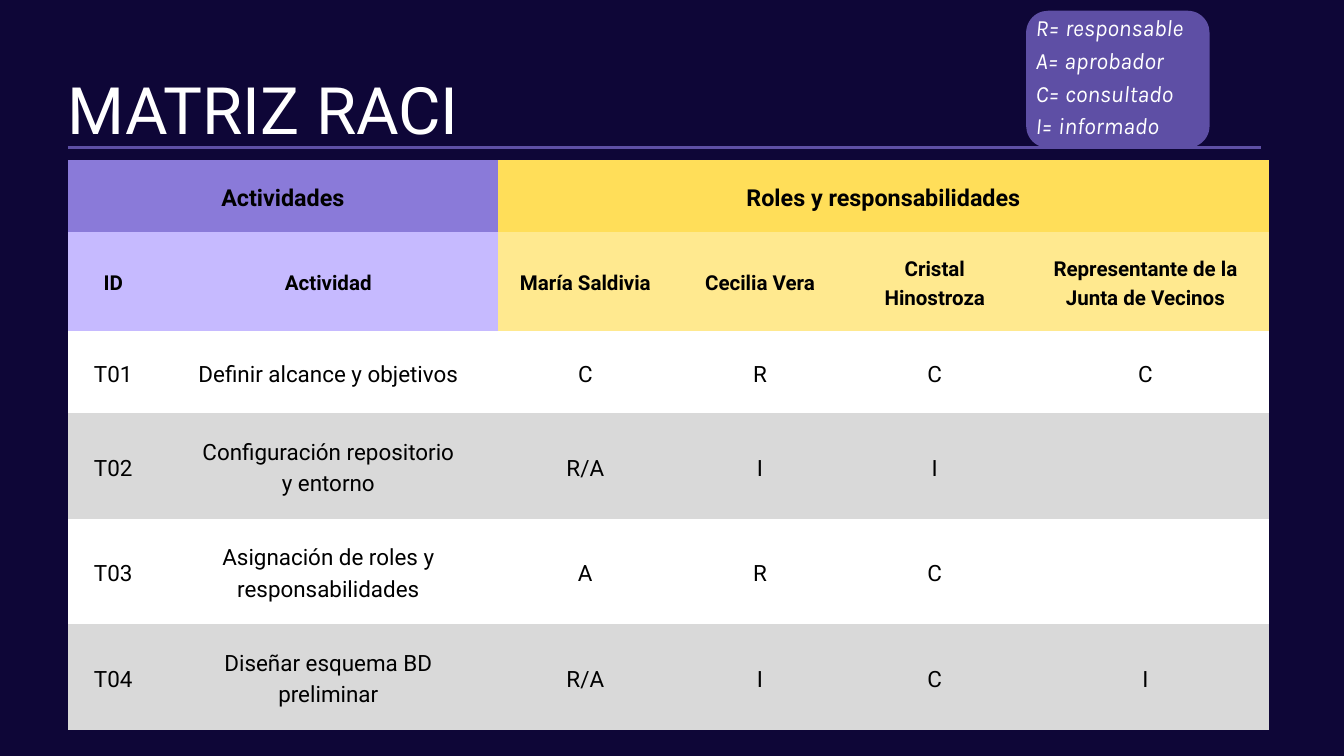
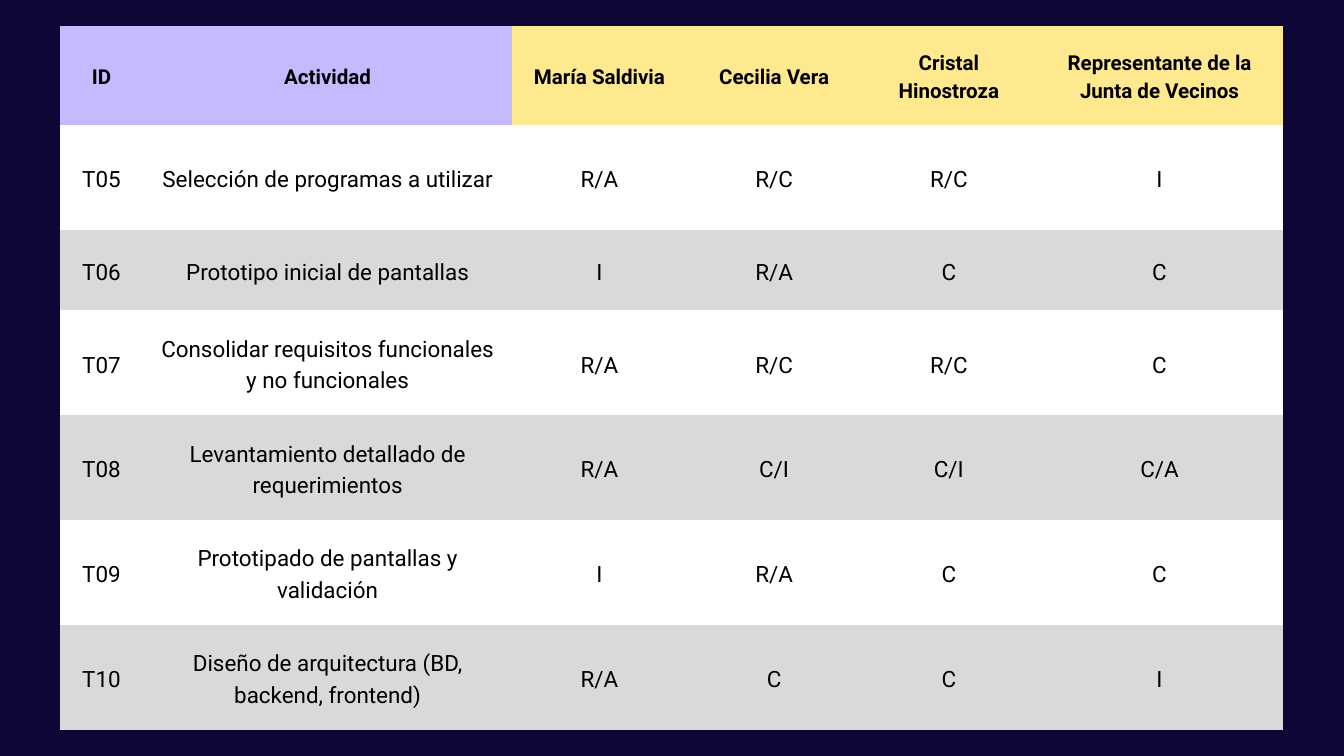
from dataclasses import dataclass

from lxml.etree import SubElement
from pptx import Presentation
from pptx.dml.color import RGBColor
from pptx.enum.shapes import MSO_CONNECTOR, MSO_SHAPE
from pptx.enum.text import MSO_ANCHOR, PP_ALIGN
from pptx.oxml.ns import qn
from pptx.util import Inches, Pt


@dataclass(frozen=True)
class Box:
    left: float
    top: float
    width: float
    height: float

    def lengths(self):
        return [Inches(n) for n in (self.left, self.top, self.width, self.height)]


@dataclass(frozen=True)
class TextStyle:
    size: float
    color: str = "000000"
    font: str = "Roboto"
    bold: bool = False
    italic: bool = False
    align: PP_ALIGN = PP_ALIGN.CENTER


@dataclass(frozen=True)
class Theme:
    night: str = "0E0637"
    accent: str = "5E4FA5"
    activity_band: str = "8A7AD9"
    activity_head: str = "C6BAFF"
    role_band: str = "FFDE59"
    role_head: str = "FFE98F"
    stripes: tuple = ("FFFFFF", "D9D9D9")
    leading: float = 1.4
    cell_margin: float = 0.21
    title: TextStyle = TextStyle(70, "FFFFFF", align=PP_ALIGN.LEFT)
    legend: TextStyle = TextStyle(25, "FFFFFF", "Karla", italic=True, align=PP_ALIGN.LEFT)
    band: TextStyle = TextStyle(25, bold=True)
    head: TextStyle = TextStyle(22, bold=True)
    body: TextStyle = TextStyle(24)


THEME = Theme()
NO_GRID_STYLE = "{2D5ABB26-0587-4C30-8999-92F81FD0307C}"
ACTIVITY_COLUMNS = 2
ROLE_WIDTHS = [2.6, 2.6, 2.6, 3.67]
HEADINGS = ["ID", "Actividad", "María Saldivia", "Cecilia Vera",
            "Cristal Hinostroza", "Representante de la Junta de Vecinos"]
LEGEND = ["R= responsable", "A= aprobador", "C= consultado", "I= informado"]

FIRST_TASKS = [
    ["T01", "Definir alcance y objetivos", "C", "R", "C", "C"],
    ["T02", "Configuración repositorio\ny entorno", "R/A", "I", "I", ""],
    ["T03", "Asignación de roles y responsabilidades", "A", "R", "C", ""],
    ["T04", "Diseñar esquema BD preliminar", "R/A", "I", "C", "I"],
]
LATER_TASKS = [
    ["T05", "Selección de programas a utilizar", "R/A", "R/C", "R/C", "I"],
    ["T06", "Prototipo inicial de pantallas", "I", "R/A", "C", "C"],
    ["T07", "Consolidar requisitos funcionales y no funcionales", "R/A", "R/C", "R/C", "C"],
    ["T08", "Levantamiento detallado de requerimientos", "R/A", "C/I", "C/I", "C/A"],
    ["T09", "Prototipado de pantallas y validación", "I", "R/A", "C", "C"],
    ["T10", "Diseño de arquitectura (BD, backend, frontend)", "R/A", "C", "C", "I"],
]


def paint(fill, color):
    fill.solid()
    fill.fore_color.rgb = RGBColor.from_string(color)


def write(frame, text, style):
    frame.text = text
    for para in frame.paragraphs:
        para.alignment = style.align
        para.line_spacing = Pt(style.size * THEME.leading)
        font = para.font
        font.name, font.size = style.font, Pt(style.size)
        font.bold, font.italic = style.bold, style.italic
        font.color.rgb = RGBColor.from_string(style.color)


def set_margins(target, left, top, right, bottom):
    target.margin_left, target.margin_top = Inches(left), Inches(top)
    target.margin_right, target.margin_bottom = Inches(right), Inches(bottom)


def add_page(deck):
    page = deck.slides.add_slide(deck.slide_layouts[6])
    paint(page.background.fill, THEME.night)
    return page


# Title text with the rule below it
def add_title(page, box, text):
    frame = page.shapes.add_textbox(*box.lengths()).text_frame
    frame.word_wrap = True
    set_margins(frame, 0, 0, 0, 0)
    write(frame, text, THEME.title)


def add_rule(page, box):
    left, top, width, height = box.lengths()
    rule = page.shapes.add_connector(MSO_CONNECTOR.STRAIGHT, left, top, left + width, top + height)
    rule.line.color.rgb = RGBColor.from_string(THEME.accent)
    rule.line.width = Pt(3)
    SubElement(rule.element.spPr, qn("a:effectLst"))


# Key to the role letters
def add_legend(page, box):
    group = page.shapes.add_group_shape()
    panel = group.shapes.add_shape(MSO_SHAPE.ROUNDED_RECTANGLE, *box.lengths())
    panel.adjustments[0] = 0.16
    panel.shadow.inherit = False
    paint(panel.fill, THEME.accent)
    panel.line.fill.background()

    text_box = Box(box.left, box.top - 0.14, box.width, box.height + 0.13)
    frame = group.shapes.add_textbox(*text_box.lengths()).text_frame
    frame.word_wrap = True
    frame.vertical_anchor = MSO_ANCHOR.MIDDLE
    set_margins(frame, 0.14, 0.06, 0.06, 0.06)
    write(frame, "\n".join(LEGEND), THEME.legend)


# RACI table: optional band row, headings, striped tasks
def fill_cell(cell, text, style, color):
    paint(cell.fill, color)
    cell.vertical_anchor = MSO_ANCHOR.MIDDLE
    set_margins(cell, *[THEME.cell_margin] * 4)
    write(cell.text_frame, text, style)


def add_matrix(page, box, activity_widths, row_heights, tasks, banded=False):
    widths = activity_widths + ROLE_WIDTHS
    graphic = page.shapes.add_table(len(row_heights), len(widths), *box.lengths())
    graphic.element.find(".//" + qn("a:tableStyleId")).text = NO_GRID_STYLE
    table = graphic.table
    table.first_row = table.horz_banding = False
    for column, width in zip(table.columns, widths):
        column.width = Inches(width)
    for row, height in zip(table.rows, row_heights):
        row.height = Inches(height)

    if banded:
        bands = [(0, ACTIVITY_COLUMNS - 1, "Actividades", THEME.activity_band),
                 (ACTIVITY_COLUMNS, len(widths) - 1, "Roles y responsabilidades", THEME.role_band)]
        for first, last, text, color in bands:
            table.cell(0, first).merge(table.cell(0, last))
            fill_cell(table.cell(0, first), text, THEME.band, color)

    head_row = int(banded)
    for index, text in enumerate(HEADINGS):
        color = THEME.activity_head if index < ACTIVITY_COLUMNS else THEME.role_head
        fill_cell(table.cell(head_row, index), text, THEME.head, color)

    for number, task in enumerate(tasks):
        for index, text in enumerate(task):
            fill_cell(table.cell(head_row + 1 + number, index), text, THEME.body,
                      THEME.stripes[number % 2])


def build_opening_page(deck):
    page = add_page(deck)
    add_rule(page, Box(1.01, 2.2, 17.75, 0))
    add_matrix(page, Box(1.01, 2.38, 17.87, 8.47), [1.35, 5.05],
               [1.07, 1.48, 1.22] + [1.57] * 3, FIRST_TASKS, banded=True)
    add_title(page, Box(1.01, 0.83, 17.75, 1.3), "MATRIZ RACI")
    add_legend(page, Box(15.27, 0.16, 2.73, 2.04))


def build_continuation_page(deck):
    page = add_page(deck)
    add_matrix(page, Box(0.89, 0.38, 18.21, 10.49), [1.24, 5.49],
               [1.48, 1.56, 1.2] + [1.56] * 4, LATER_TASKS)


def main():
    deck = Presentation()
    deck.slide_width, deck.slide_height = Inches(20), Inches(11.25)
    build_opening_page(deck)
    build_continuation_page(deck)
    deck.save("out.pptx")


if __name__ == "__main__":
    main()
